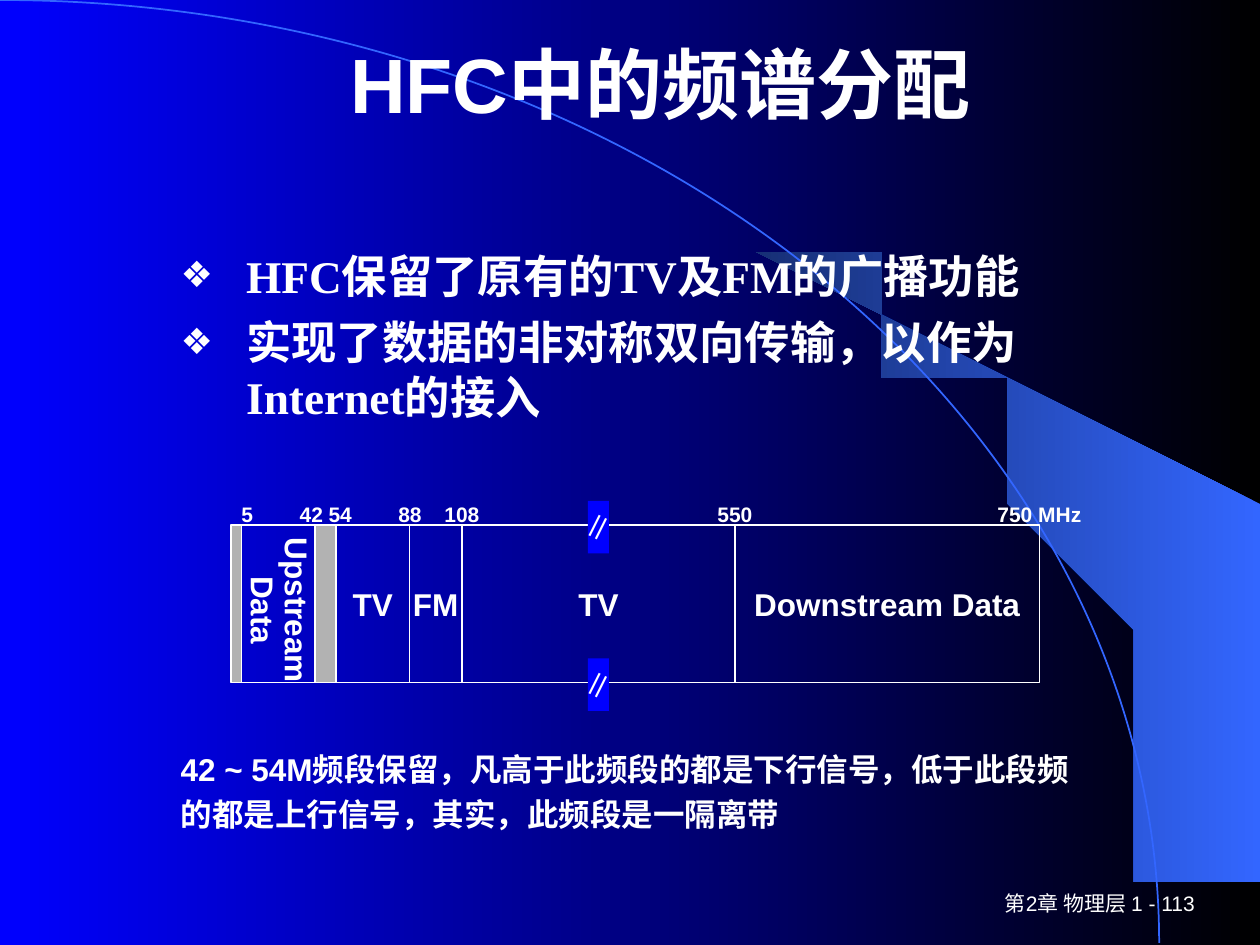
from dataclasses import dataclass

from lxml.etree import SubElement
from pptx import Presentation
from pptx.dml.color import RGBColor
from pptx.enum.shapes import MSO_SHAPE
from pptx.enum.text import MSO_ANCHOR, MSO_AUTO_SIZE, PP_ALIGN
from pptx.oxml.ns import qn
from pptx.util import Inches, Pt

COLUMNS_PER_INCH = 12  # the page is a grid of 120 columns by 90 rows


@dataclass(frozen=True)
class Theme:
    white: str = "FFFFFF"
    black: str = "000000"
    blue: str = "0000FF"
    sky: str = "3366FF"
    navy: str = "172F75"
    gray: str = "B2B2B2"
    sans: str = "Arial"
    serif: str = "Times New Roman"
    chinese: str = "Noto Sans CJK SC"
    title_size: float = 44
    body_size: float = 25.9
    band_size: float = 18
    label_size: float = 12


THEME = Theme()


def grid(*cells):
    return [Inches(cell / COLUMNS_PER_INCH) for cell in cells]


def write_text(frame, text, size=THEME.band_size, font=THEME.sans, bold=True,
               align=PP_ALIGN.CENTER, anchor=MSO_ANCHOR.MIDDLE, wrap=True,
               margins=(1.2, 0.6), spacing=None, before=0, bullet=None):
    """Fill a text frame, one paragraph for each line of the text."""
    frame.auto_size = MSO_AUTO_SIZE.NONE
    frame.word_wrap = wrap
    frame.vertical_anchor = anchor
    side, end = grid(*margins)
    frame.margin_left = frame.margin_right = side
    frame.margin_top = frame.margin_bottom = end
    for index, line in enumerate(text.split("\n")):
        para = frame.add_paragraph() if index else frame.paragraphs[0]
        para.alignment = align
        para.space_before = Pt(before)
        para.line_spacing = spacing
        if bullet:
            add_bullet(para, bullet)
        span = para.add_run()
        span.text = line
        span.font.size = Pt(size)
        span.font.bold = bold
        span.font.name = font
        span.font.color.rgb = RGBColor.from_string(THEME.white)
        SubElement(span.font.element if hasattr(span.font, "element") else
                   span._r.get_or_add_rPr(), qn("a:ea"), typeface=THEME.chinese)


def add_bullet(para, symbol, indent=0.52):
    properties = para._p.get_or_add_pPr()
    properties.set("marL", str(Inches(indent)))
    properties.set("indent", str(-Inches(indent)))
    color = SubElement(properties, qn("a:buClr"))
    SubElement(color, qn("a:srgbClr"), val=THEME.white)
    SubElement(properties, qn("a:buSzPct"), val="80000")
    SubElement(properties, qn("a:buChar"), char=symbol)


def paint_gradient(fill, first, last):
    fill.gradient()
    fill.gradient_angle = 180
    for stop, color, position in zip(fill.gradient_stops, (first, last), (0, 1)):
        stop.color.rgb = RGBColor.from_string(color)
        stop.position = position


class Page:
    """The style and the current slide, with a method for each element."""

    def __init__(self, deck, theme):
        self.theme = theme
        self.slide = deck.slides.add_slide(deck.slide_layouts[1])
        self.shapes = self.slide.shapes

    def background(self, first, last):
        paint_gradient(self.slide.background.fill, first, last)

    def placeholder(self, index, area, text, **style):
        box = self.slide.placeholders[index]
        box.left, box.top, box.width, box.height = grid(*area)
        write_text(box.text_frame, text, **style)

    def text(self, area, text, **style):
        box = self.shapes.add_textbox(*grid(*area))
        write_text(box.text_frame, text, **style)

    def shape(self, area, kind=MSO_SHAPE.RECTANGLE, fill=None, line=None):
        shape = self.shapes.add_shape(kind, *grid(*area))
        shape.shadow.inherit = False
        if fill:
            shape.fill.solid()
            shape.fill.fore_color.rgb = RGBColor.from_string(fill)
        else:
            shape.fill.background()
        if line:
            shape.line.color.rgb = RGBColor.from_string(line)
            shape.line.width = Pt(1)
        else:
            shape.line.fill.background()
        return shape

    def fold(self, points, first, last):
        """Draw a gradient outline through points given in inches."""
        builder = self.shapes.build_freeform(*points[0], scale=Inches(1))
        builder.add_line_segments(points[1:], close=True)
        shape = builder.convert_to_shape()
        shape.shadow.inherit = False
        paint_gradient(shape.fill, first, last)
        shape.line.fill.background()
        return shape

    def send_back(self, *items):
        """Place items behind everything else, the last one in front."""
        for item in reversed(items):
            item.element.getparent().insert(2, item.element)


def draw_backdrop(page):
    theme = page.theme
    page.background(theme.black, theme.blue)
    edge = [(9.2, 7.48), (9.99, 7.49), (9.99, 4.23), (5.89, 1.73), (6.24, 1.99),
            (6.53, 2.22), (6.85, 2.5), (7.16, 2.8), (7.62, 3.3), (8.03, 3.84),
            (8.32, 4.31), (8.58, 4.79), (8.78, 5.28), (8.93, 5.72),
            (9.03, 6.09), (9.13, 6.56), (9.17, 6.96)]
    fold = page.fold(edge, theme.sky, theme.navy)
    arc = page.shape((-110.4, 0, 220.8, 179.6), MSO_SHAPE.ARC, line=theme.sky)
    page.send_back(fold, arc)


def draw_spectrum(page):
    theme = page.theme
    top, height, left = 50, 15, 22

    # Frequency bands, side by side: columns wide, name
    bands = [(1, ""), (7, "Upstream\nData"), (2, ""), (7, "TV"), (5, "FM"),
             (26, "TV"), (29, "Downstream Data")]
    for width, name in bands:
        band = page.shape((left, top, width, height),
                          fill=None if name else theme.gray, line=theme.white)
        left += width
        if "\n" in name:
            write_text(band.text_frame, name, wrap=False, spacing=0.9,
                       margins=(0.6, 1.2))
            band.text_frame._txBody.bodyPr.set("vert", "eaVert")
        elif name:
            write_text(band.text_frame, name, wrap=False)

    # Break marks on the upper and lower edge
    for edge in (top, top + height):
        mark = page.shape((56, edge - 2.3, 2, 5), fill=theme.blue)
        write_text(mark.text_frame, "∥", font=theme.chinese, bold=False,
                   wrap=False, margins=(0, 0))

    # Frequencies, centred on their columns
    for center, label in [(23.55, "5"), (29.65, "42"), (32.4, "54"), (39.05, "88"),
                          (44, "108"), (70, "550"), (99, "750 MHz")]:
        width = 1.15 * len(label)
        page.text((center - width / 2, 47.8, width, 2.4), label, wrap=False,
                  size=theme.label_size, margins=(0, 0), anchor=MSO_ANCHOR.TOP)


def main():
    deck = Presentation()
    deck.slide_width, deck.slide_height = grid(120, 90)
    page = Page(deck, THEME)
    draw_backdrop(page)

    # Title and list
    page.placeholder(0, (11.9, 2.5, 102, 10.8), "HFC中的频谱分配",
                     size=THEME.title_size)
    page.placeholder(1, (16, 23, 91, 24.1),
                     "HFC保留了原有的TV及FM的广播功能\n"
                     "实现了数据的非对称双向传输，以作为Internet的接入",
                     size=THEME.body_size, font=THEME.serif, align=PP_ALIGN.LEFT,
                     anchor=MSO_ANCHOR.TOP, spacing=1.0, before=7, bullet="❖")

    draw_spectrum(page)

    # Remark and page number
    page.text((16, 70.1, 89, 9.8),
              "42 ~ 54M频段保留，凡高于此频段的都是下行信号，"
              "低于此段频的都是上行信号，其实，此频段是一隔离带",
              align=PP_ALIGN.LEFT, anchor=MSO_ANCHOR.TOP, spacing=1.2, before=11.2)
    page.text((90, 84, 25, 4), "第2章 物理层 1 - 113", size=THEME.label_size,
              bold=False, align=PP_ALIGN.RIGHT)

    deck.save("out.pptx")


if __name__ == "__main__":
    main()
